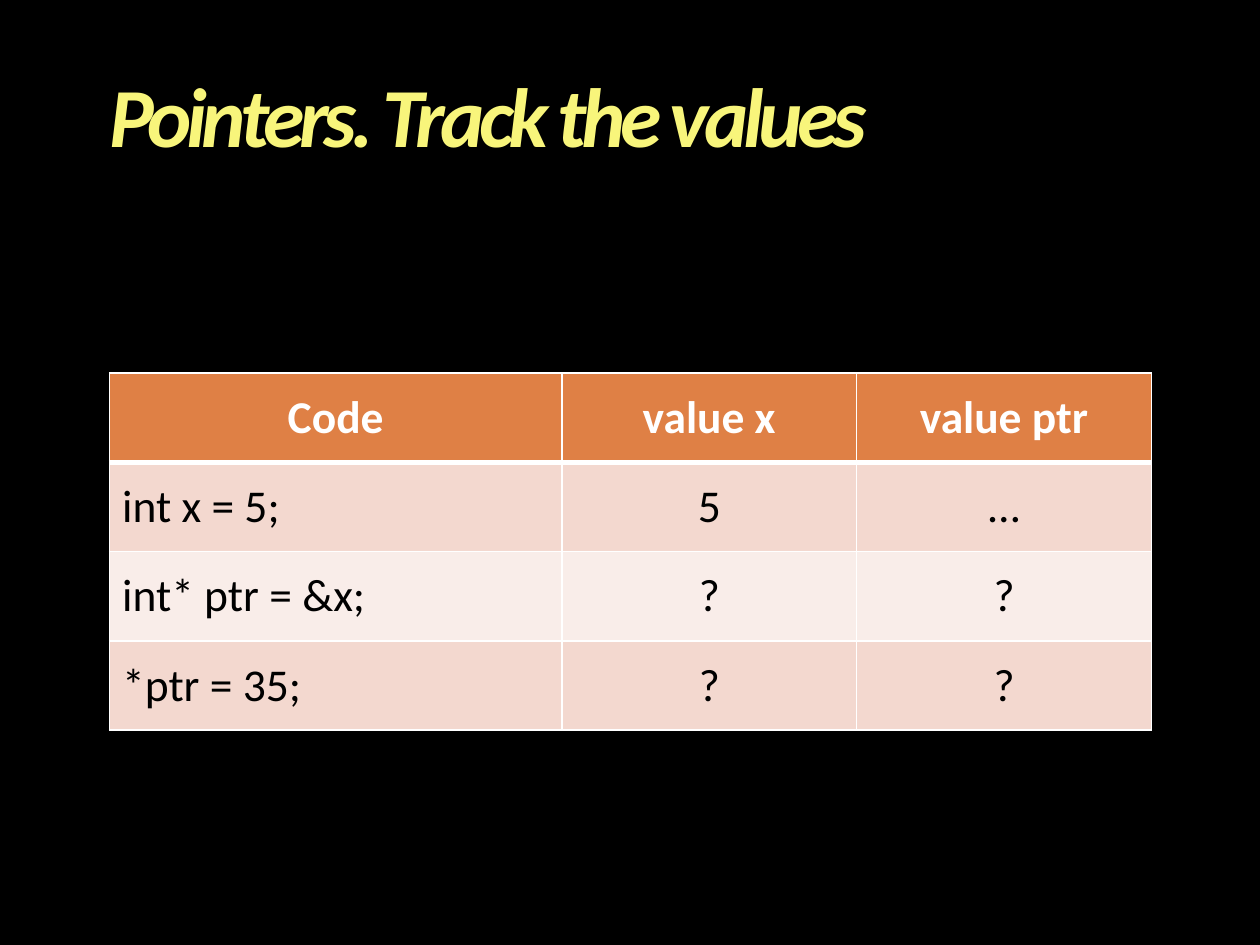
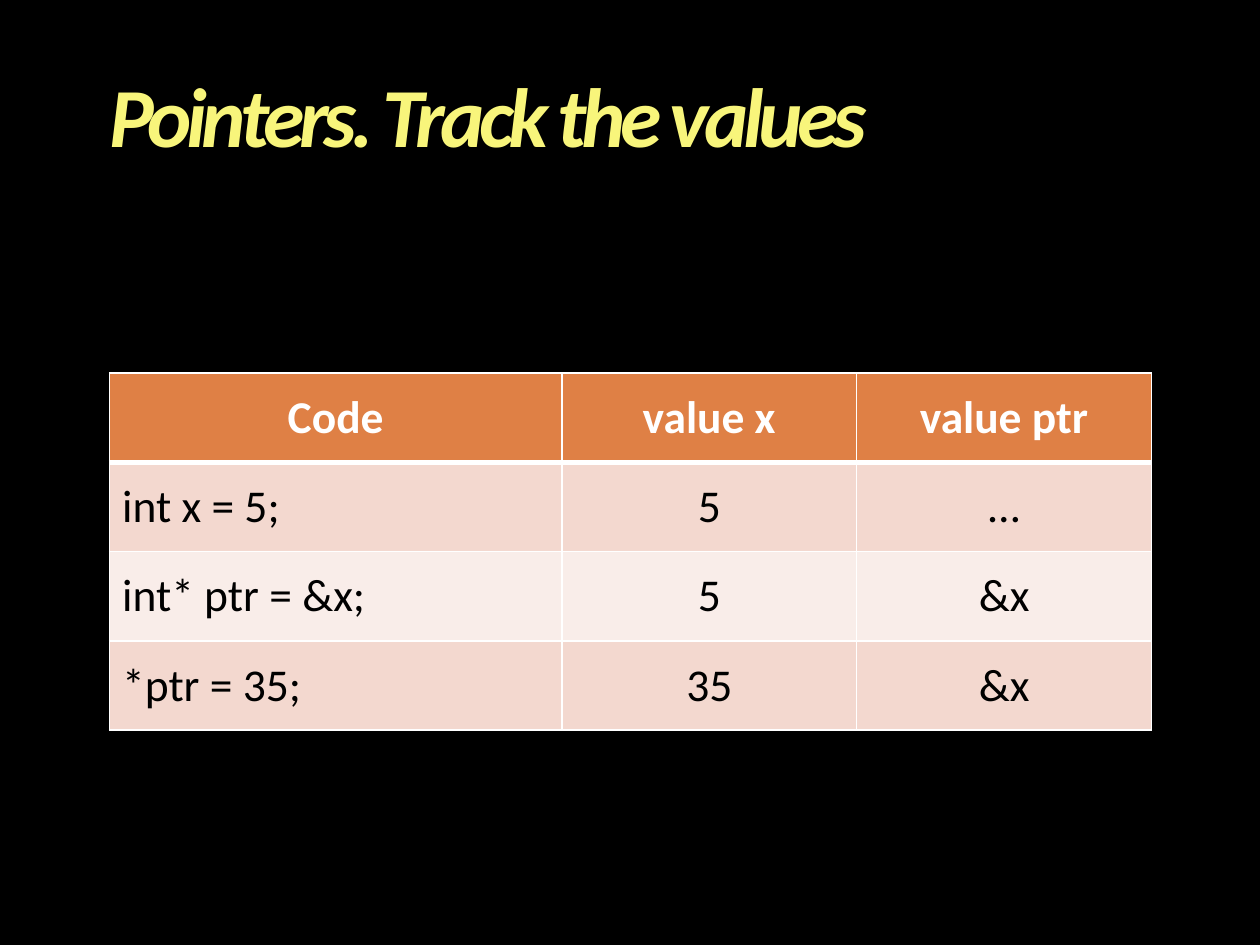
from lxml import etree
from pptx import Presentation
from pptx.dml.color import RGBColor
from pptx.enum.text import MSO_ANCHOR, PP_ALIGN
from pptx.oxml.ns import qn
from pptx.util import Pt

MIDDLE = MSO_ANCHOR.MIDDLE
LEFT, CENTER = PP_ALIGN.LEFT, PP_ALIGN.CENTER

FONT = "Calibri"
COLORS = {
    "background": "000000",
    "header": "DF8045",
    "band_dark": "F3D8CF",
    "band_light": "F9EDE9",
    "white": "FFFFFF",
    "black": "000000",
}
TITLE_STOPS = [(0, "FFEBD4"), (28, "F8F57B"), (62, "D5B953"), (88, "D1943B")]

# Boxes: left, top, width, height in points
TITLE_BOX = (62.6, 43.2, 595.5, 51)
TABLE_BOX = (62.6, 213.2, 595.5, 204)
CODE_WIDTH = 258.5

TITLE = "Pointers. Track the values"
HEADER = ("Code", "value x", "value ptr")
CODE = ("int x = 5;", "int* ptr = &x;", "*ptr = 35;")
QUESTIONS = [("5", "…"), ("?", "?"), ("?", "?")]
ANSWERS = [("5", "…"), ("5", "&x"), ("35", "&x")]


def rgb(name):
    return RGBColor.from_string(COLORS[name])


def write(tf, text, size, color=None, bold=False, italic=False, align=LEFT):
    """Write one formatted paragraph and return it with its run."""
    p = tf.paragraphs[0]
    p.alignment = align
    r = p.add_run()
    r.text = text
    r.font.name, r.font.size = FONT, Pt(size)
    r.font.bold, r.font.italic = bold, italic
    if color:
        r.font.color.rgb = rgb(color)
    return p, r


def gradient_text(r, stops):
    """Fill a run with a vertical gradient."""
    grad = etree.Element(qn("a:gradFill"))
    gs_list = etree.SubElement(grad, qn("a:gsLst"))
    for percent, color in stops:
        gs = etree.SubElement(gs_list, qn("a:gs"), pos=str(percent * 1000))
        etree.SubElement(gs, qn("a:srgbClr"), val=color)
    etree.SubElement(grad, qn("a:lin"), ang="5400000", scaled="0")
    r.font._element.insert(0, grad)


def add_title(s, box, text):
    sp = s.shapes.add_textbox(*map(Pt, box))
    tf = sp.text_frame
    tf.word_wrap = True
    tf.vertical_anchor = MIDDLE
    tf.margin_left = tf.margin_right = tf.margin_top = tf.margin_bottom = 0
    p, r = write(tf, text, 48, bold=True, italic=True)
    gradient_text(r, TITLE_STOPS)
    r.font._element.set("spc", "-300")
    # Spacing: 90 % lines, 20 % before
    p.line_spacing = 0.9
    before = etree.SubElement(p._p.get_or_add_pPr(), qn("a:spcBef"))
    etree.SubElement(before, qn("a:spcPct"), val="20000")


def set_borders(cell, top, bottom):
    """Draw white borders; the sides are 1 pt wide."""
    tc_pr = cell._tc.get_or_add_tcPr()
    for side, width in (("L", 1), ("R", 1), ("T", top), ("B", bottom)):
        ln = etree.SubElement(tc_pr, qn(f"a:ln{side}"), w=str(Pt(width)))
        fill = etree.SubElement(ln, qn("a:solidFill"))
        etree.SubElement(fill, qn("a:srgbClr"), val=COLORS["white"])


def add_value_table(s, box, values):
    rows = [HEADER] + [(code, *pair) for code, pair in zip(CODE, values)]
    table = s.shapes.add_table(len(rows), len(HEADER), *map(Pt, box)).table
    width, height = box[2:]

    # Code column, then equal value columns
    value_width = (width - CODE_WIDTH) / (len(HEADER) - 1)
    for j, column in enumerate(table.columns):
        column.width = Pt(value_width if j else CODE_WIDTH)

    for i, texts in enumerate(rows):
        table.rows[i].height = Pt(height / len(rows))
        is_header = i == 0
        band = "header" if is_header else "band_dark" if i % 2 else "band_light"
        for j, text in enumerate(texts):
            cell = table.cell(i, j)
            cell.vertical_anchor = MIDDLE
            set_borders(cell, top=3 if i == 1 else 1, bottom=3 if is_header else 1)
            cell.fill.solid()
            cell.fill.fore_color.rgb = rgb(band)
            write(cell.text_frame, text, 26, bold=is_header,
                  color="white" if is_header else "black",
                  align=CENTER if is_header or j else LEFT)


def add_tracking_slide(prs, values):
    s = prs.slides.add_slide(prs.slide_layouts[6])
    s.background.fill.solid()
    s.background.fill.fore_color.rgb = rgb("background")
    add_title(s, TITLE_BOX, TITLE)
    add_value_table(s, TABLE_BOX, values)


def main():
    prs = Presentation()
    prs.slide_width, prs.slide_height = Pt(720), Pt(540)
    for values in (QUESTIONS, ANSWERS):
        add_tracking_slide(prs, values)
    prs.save("out.pptx")


if __name__ == "__main__":
    main()
